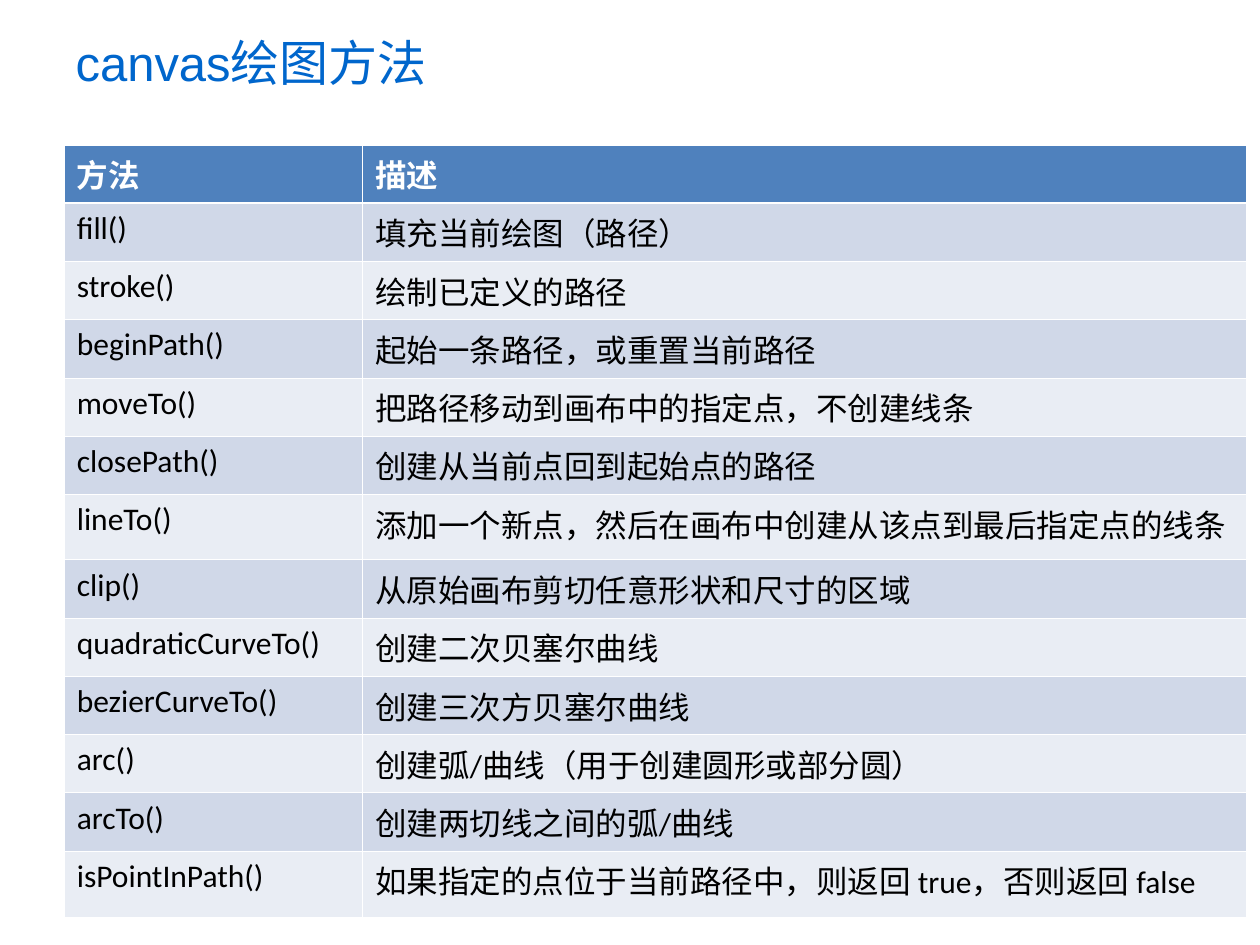
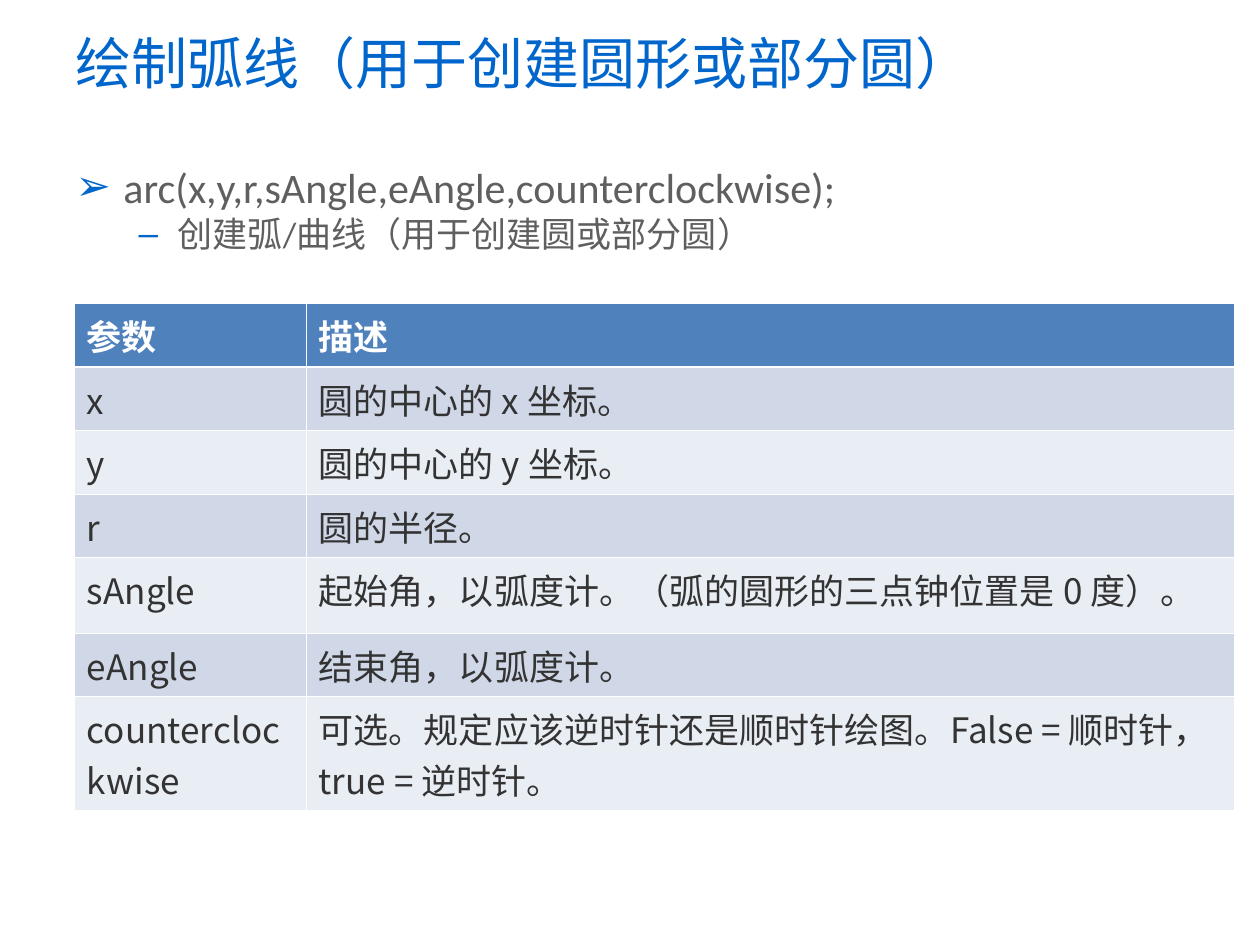
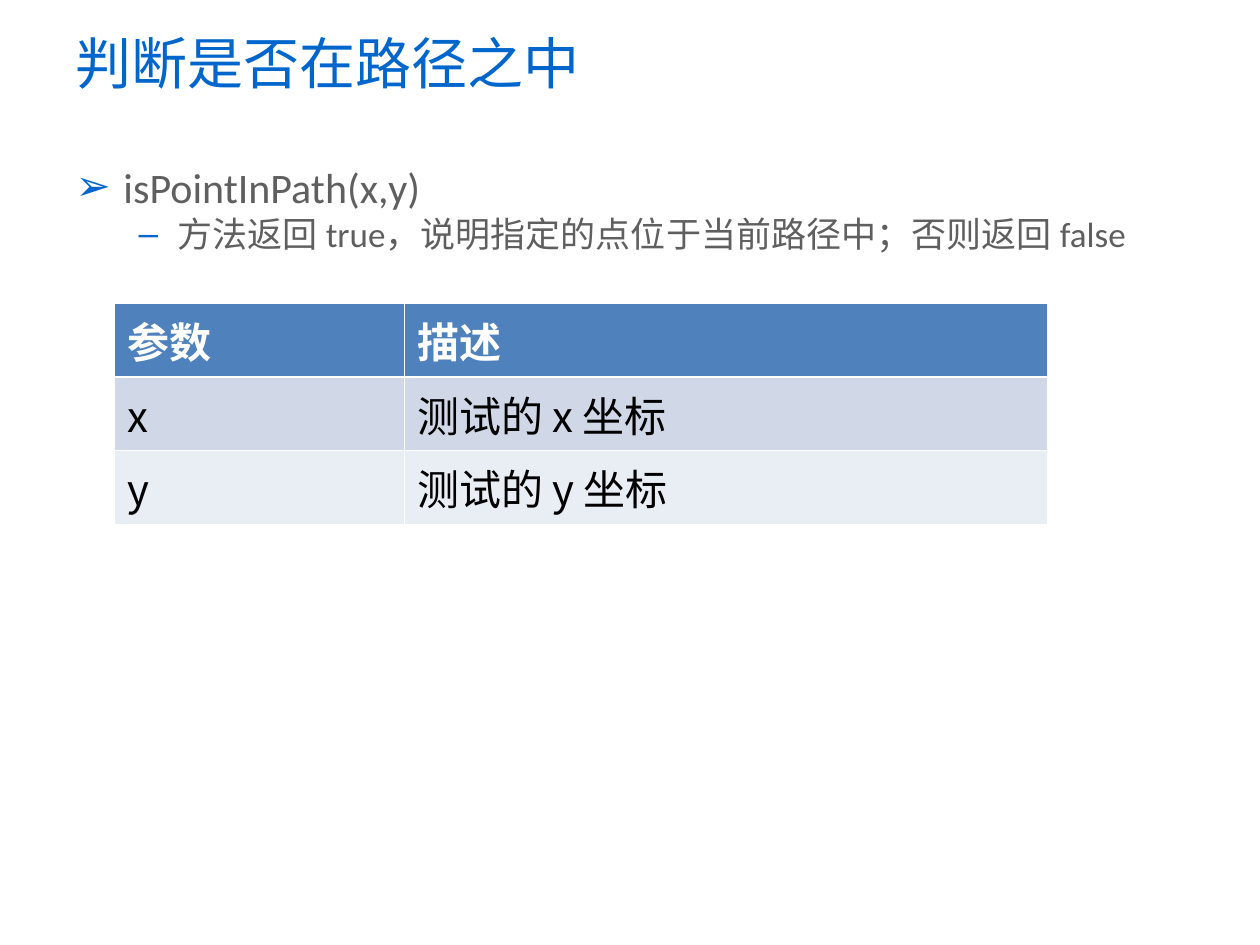
from lxml.etree import SubElement
from pptx import Presentation
from pptx.dml.color import RGBColor
from pptx.enum.text import MSO_ANCHOR, MSO_AUTO_SIZE, PP_ALIGN
from pptx.oxml import parse_xml
from pptx.oxml.ns import nsdecls, qn
from pptx.util import Inches, Pt

TITLE_BLUE = RGBColor(0x00, 0x66, 0xCC)
BODY_GRAY = RGBColor(0x5F, 0x5F, 0x5F)
HEADER_BLUE = RGBColor(0x4F, 0x81, 0xBD)
BAND_COLORS = (RGBColor(0xE9, 0xED, 0xF4), RGBColor(0xD0, 0xD8, 0xE8))
WHITE = RGBColor(0xFF, 0xFF, 0xFF)
BLACK = RGBColor(0x00, 0x00, 0x00)
DARK_GRAY = RGBColor(0x33, 0x33, 0x33)

LATIN_FONT = "Calibri"
TITLE_FONT = "Arial"
CHINESE_FONT = "Noto Sans CJK SC"

TITLE_ONLY_LAYOUT = 5
TITLE_AND_CONTENT_LAYOUT = 1
THIN_BORDER = 0.45
HEADER_BORDER = 1.47

# Bullet character, left margin, hanging indent and text size of each level
BULLET_LEVELS = (("➢", 0.38, 0.38, 24), ("–", 0.81, 0.31, 20))

DRAWING_METHODS = [
    ("方法", "描述"),
    ("fill()", "填充当前绘图（路径）"),
    ("stroke()", "绘制已定义的路径"),
    ("beginPath()", "起始一条路径，或重置当前路径"),
    ("moveTo()", "把路径移动到画布中的指定点，不创建线条"),
    ("closePath()", "创建从当前点回到起始点的路径"),
    ("lineTo()", "添加一个新点，然后在画布中创建从该点到最后指定点的线条"),
    ("clip()", "从原始画布剪切任意形状和尺寸的区域"),
    ("quadraticCurveTo()", "创建二次贝塞尔曲线"),
    ("bezierCurveTo()", "创建三次方贝塞尔曲线"),
    ("arc()", "创建弧/曲线（用于创建圆形或部分圆）"),
    ("arcTo()", "创建两切线之间的弧/曲线"),
    ("isPointInPath()", "如果指定的点位于当前路径中，则返回 true，否则返回 false"),
]
ARC_PARAMETERS = [
    ("参数", "描述"),
    ("x", "圆的中心的 x 坐标。"),
    ("y", "圆的中心的 y 坐标。"),
    ("r", "圆的半径。"),
    ("sAngle", "起始角，以弧度计。（弧的圆形的三点钟位置是 0 度）。"),
    ("eAngle", "结束角，以弧度计。"),
    ("counterclockwise", "可选。规定应该逆时针还是顺时针绘图。False = 顺时针，true = 逆时针。"),
]
POINT_PARAMETERS = [
    ("参数", "描述"),
    ("x", "测试的 x 坐标"),
    ("y", "测试的 y 坐标"),
]


def place(shape, left, top, width, height):
    shape.left, shape.top = Inches(left), Inches(top)
    shape.width, shape.height = Inches(width), Inches(height)


def format_runs(paragraph, font_name, size, color, bold=False):
    for run in paragraph.runs:
        run.font.name = font_name
        run.font.size = Pt(size)
        run.font.bold = bold
        run.font.color.rgb = color
        SubElement(run.font._element, qn("a:ea"), typeface=CHINESE_FONT)


def add_titled_slide(presentation, layout_index, title, size):
    slide = presentation.slides.add_slide(presentation.slide_layouts[layout_index])
    shape = slide.shapes.title
    place(shape, 0.5, -0.02, 7.65, 1.02)
    text_frame = shape.text_frame
    text_frame.text = title
    text_frame.auto_size = MSO_AUTO_SIZE.NONE
    text_frame.vertical_anchor = MSO_ANCHOR.MIDDLE
    paragraph = text_frame.paragraphs[0]
    paragraph.alignment = PP_ALIGN.LEFT
    format_runs(paragraph, TITLE_FONT, size, TITLE_BLUE)
    return slide


def set_bullet(paragraph, character, margin, hanging):
    properties = paragraph._p.get_or_add_pPr()
    properties.set("marL", str(Inches(margin)))
    properties.set("indent", str(-Inches(hanging)))
    bullet_color = SubElement(properties, qn("a:buClr"))
    SubElement(bullet_color, qn("a:srgbClr"), val=str(TITLE_BLUE))
    SubElement(properties, qn("a:buChar"), char=character)


def fill_body(slide, lines):
    """Write one line per bullet level into the body placeholder."""
    body = slide.placeholders[1]
    place(body, 0.5, 1.31, 9, 5.39)
    text_frame = body.text_frame
    text_frame.text = "\n".join(lines)
    text_frame.auto_size = MSO_AUTO_SIZE.NONE
    for level, paragraph in enumerate(text_frame.paragraphs):
        character, margin, hanging, size = BULLET_LEVELS[level]
        paragraph.level = level
        paragraph.line_spacing = 0.8
        paragraph.space_before = Pt(size / 4)
        set_bullet(paragraph, character, margin, hanging)
        format_runs(paragraph, LATIN_FONT, size, BODY_GRAY)


def set_borders(cell, top, bottom):
    properties = cell._tc.get_or_add_tcPr()
    widths = {"lnL": THIN_BORDER, "lnR": THIN_BORDER, "lnT": top, "lnB": bottom}
    for position, (side, width) in enumerate(widths.items()):
        properties.insert(position, parse_xml(
            f'<a:{side} {nsdecls("a")} w="{Pt(width)}"><a:solidFill>'
            f'<a:srgbClr val="{WHITE}"/></a:solidFill></a:{side}>'))


def format_cell(cell, row, font_name, size, color):
    is_header = row == 0
    cell.fill.solid()
    cell.fill.fore_color.rgb = HEADER_BLUE if is_header else BAND_COLORS[row % 2]
    set_borders(cell,
                top=HEADER_BORDER if row == 1 else THIN_BORDER,
                bottom=HEADER_BORDER if is_header else THIN_BORDER)
    paragraph = cell.text_frame.paragraphs[0]
    paragraph.space_before = Pt(size / 4)
    format_runs(paragraph, font_name, size, WHITE if is_header else color, is_header)


def parameter_font(text, column):
    """Descriptions without Latin letters or digits keep the Latin font."""
    has_latin = any(character.isascii() for character in text)
    return CHINESE_FONT if column == 0 or has_latin else LATIN_FONT


def method_font(text, column):
    return LATIN_FONT


def add_banded_table(slide, rows, left, top, column_widths, row_heights,
                     size, color, choose_font):
    frame = slide.shapes.add_table(
        len(rows), len(column_widths), Inches(left), Inches(top),
        Inches(sum(column_widths)), Inches(sum(row_heights)))
    table = frame.table
    for column, width in zip(table.columns, column_widths):
        column.width = Inches(width)
    for row_index, (texts, height) in enumerate(zip(rows, row_heights)):
        table.rows[row_index].height = Inches(height)
        for column_index, text in enumerate(texts):
            cell = table.cell(row_index, column_index)
            cell.text_frame.text = text
            format_cell(cell, row_index, choose_font(text, column_index), size, color)


def add_methods_slide(presentation):
    slide = add_titled_slide(presentation, TITLE_ONLY_LAYOUT, "canvas绘图方法", 28)
    row_heights = [0.42] + [0.4] * 5 + [0.52] + [0.4] * 5 + [0.53]
    add_banded_table(slide, DRAWING_METHODS, 0.51, 1.15, (2.37, 7.01),
                     row_heights, 18, BLACK, method_font)


def add_arc_slide(presentation):
    slide = add_titled_slide(presentation, TITLE_AND_CONTENT_LAYOUT,
                             "绘制弧线（用于创建圆形或部分圆）", 32)
    fill_body(slide, ["arc(x,y,r,sAngle,eAngle,counterclockwise);",
                      "创建弧/曲线（用于创建圆或部分圆）"])
    row_heights = [0.44] * 4 + [0.6, 0.44, 0.77]
    add_banded_table(slide, ARC_PARAMETERS, 0.59, 2.41, (1.84, 7.37),
                     row_heights, 20, DARK_GRAY, parameter_font)


def add_point_slide(presentation):
    slide = add_titled_slide(presentation, TITLE_AND_CONTENT_LAYOUT,
                             "判断是否在路径之中", 32)
    fill_body(slide, ["isPointInPath(x,y)",
                      "方法返回 true，说明指定的点位于当前路径中；否则返回 false"])
    add_banded_table(slide, POINT_PARAMETERS, 0.91, 2.41, (2.3, 5.1),
                     [0.5] * 3, 24, BLACK, parameter_font)


def main():
    presentation = Presentation()
    presentation.slide_width, presentation.slide_height = Inches(10), Inches(7.5)
    add_methods_slide(presentation)
    add_arc_slide(presentation)
    add_point_slide(presentation)
    presentation.save("out.pptx")


if __name__ == "__main__":
    main()
